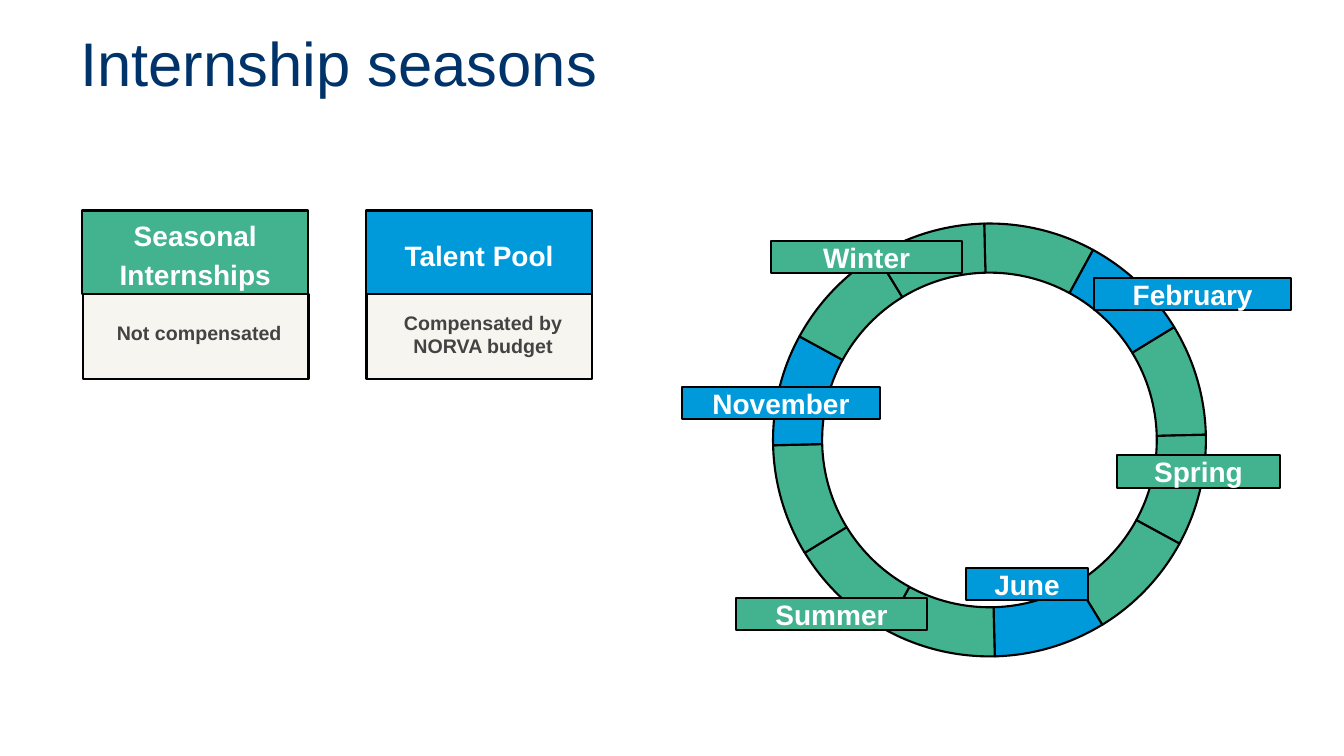
import math

import lxml.etree
import pptx
import pptx.dml.color
import pptx.enum.shapes
import pptx.enum.text
import pptx.oxml.ns
import pptx.util

Pt = pptx.util.Pt
COLORS = {
    "green": "42B38E",
    "blue": "0099DA",
    "cream": "F6F5F0",
    "navy": "003369",
    "gray": "434343",
    "white": "FFFFFF",
    "black": "000000",
}
RING_CENTER = (706.8, 314.3)
OUTER_RADIUS, INNER_RADIUS = 154.6, 119.5
MIDDLE_RADIUS = (OUTER_RADIUS + INNER_RADIUS) / 2
MONTHS = 12
MONTH_ANGLE = 360 / MONTHS
FIRST_ANGLE = -1.4


def rgb(name):
    return pptx.dml.color.RGBColor.from_string(COLORS[name])


def paint(shape, fill):
    shape.shadow.inherit = False
    shape.fill.solid()
    shape.fill.fore_color.rgb = rgb(fill)
    shape.line.color.rgb = rgb("black")
    shape.line.width = Pt(1.5)


def write(shape, text, size, color, inset=7.2, bold=True, centered=True, spacing=1.0):
    frame = shape.text_frame
    frame.word_wrap = True
    frame.vertical_anchor = pptx.enum.text.MSO_ANCHOR.MIDDLE
    frame.margin_left = frame.margin_right = Pt(inset)
    frame.margin_top = frame.margin_bottom = Pt(inset)
    frame.text = text
    para = frame.paragraphs[0]
    alignment = pptx.enum.text.PP_ALIGN
    para.alignment = alignment.CENTER if centered else alignment.LEFT
    para.line_spacing = spacing
    span = para.runs[0]
    span.font.name = "Arial"
    span.font.size = Pt(size)
    span.font.bold = bold
    span.font.color.rgb = rgb(color)


def add_box(page, left, top, width, height, fill):
    box = page.shapes.add_shape(
        pptx.enum.shapes.MSO_SHAPE.RECTANGLE, Pt(left), Pt(top), Pt(width), Pt(height))
    paint(box, fill)
    return box


def add_text(page, left, top, width, height, text, size, color, **style):
    box = page.shapes.add_textbox(Pt(left), Pt(top), Pt(width), Pt(height))
    write(box, text, size, color, inset=9.4, **style)


def ring_point(radius, degrees):
    """Point on the ring, with degrees clockwise from the top."""
    angle = math.radians(degrees)
    x, y = RING_CENTER
    return Pt(x + radius * math.sin(angle)), Pt(y - radius * math.cos(angle))


def arc_points(radius, start, end):
    """Start, two Bezier controls and end of a circular arc."""
    sweep = math.radians(end - start)
    handle = 4 / 3 * math.tan(sweep / 4)
    reach = radius * math.hypot(1, handle)
    turn = math.degrees(math.atan(handle))
    return [ring_point(radius, start), ring_point(reach, start + turn),
            ring_point(reach, end - turn), ring_point(radius, end)]


def bend(shape, first_segments):
    """Turn three straight segments, from each given index, into one curve."""
    segments = shape.element.findall(".//" + pptx.oxml.ns.qn("a:lnTo"))
    for first in first_segments:
        curve = lxml.etree.Element(pptx.oxml.ns.qn("a:cubicBezTo"))
        segments[first].addprevious(curve)
        for segment in segments[first:first + 3]:
            curve.append(segment[0])
            segment.getparent().remove(segment)


def add_month(page, start, fill):
    end = start + MONTH_ANGLE
    outline = arc_points(OUTER_RADIUS, start, end)
    outline.append(ring_point(MIDDLE_RADIUS, end))
    outline += arc_points(INNER_RADIUS, end, start)
    outline.append(ring_point(MIDDLE_RADIUS, start))
    builder = page.shapes.build_freeform(*outline[0])
    builder.add_line_segments(outline[1:], close=True)
    month = builder.convert_to_shape()
    bend(month, (0, 5))
    paint(month, fill)


def add_ring(page):
    for month in range(MONTHS):
        fill = "blue" if month % 4 == 1 else "green"
        add_month(page, FIRST_ANGLE + month * MONTH_ANGLE, fill)


def add_card(page, left, heading, fill, caption, caption_top, caption_height):
    header = add_box(page, left, 150.4, 161.3, 59.8, fill)
    write(header, heading, 20, "white", spacing=1.15)
    add_box(page, left + 0.2, 210.2, 161.3, 60.9, "cream")
    add_text(page, left + 8.2, caption_top, 150.5, caption_height, caption, 14, "gray")


def add_label(page, left, top, width, text, fill):
    write(add_box(page, left, top, width, 23, fill), text, 20, "white")


def main():
    deck = pptx.Presentation()
    deck.slide_width, deck.slide_height = Pt(960), Pt(540)
    page = deck.slides.add_slide(deck.slide_layouts[6])

    add_text(page, 47.8, 22.3, 414, 50.4, "Internship seasons", 44, "navy",
             bold=False, centered=False, spacing=0.9)
    add_ring(page)
    add_card(page, 58.9, "Seasonal Internships", "green", "Not compensated", 224.8, 25.9)
    add_card(page, 261.6, "Talent Pool", "blue", "Compensated by NORVA budget", 218.7, 40.3)

    labels = [
        (487.4, 276.5, 140.9, "November", "blue"),
        (781.4, 198.7, 141.1, "February", "blue"),
        (797.8, 325.3, 116.6, "Spring", "green"),
        (525.6, 427, 136.8, "Summer", "green"),
        (550.6, 172.1, 136.8, "Winter", "green"),
        (690, 405.8, 87.1, "June", "blue"),
    ]
    for label in labels:
        add_label(page, *label)
    deck.save("out.pptx")


if __name__ == "__main__":
    main()
